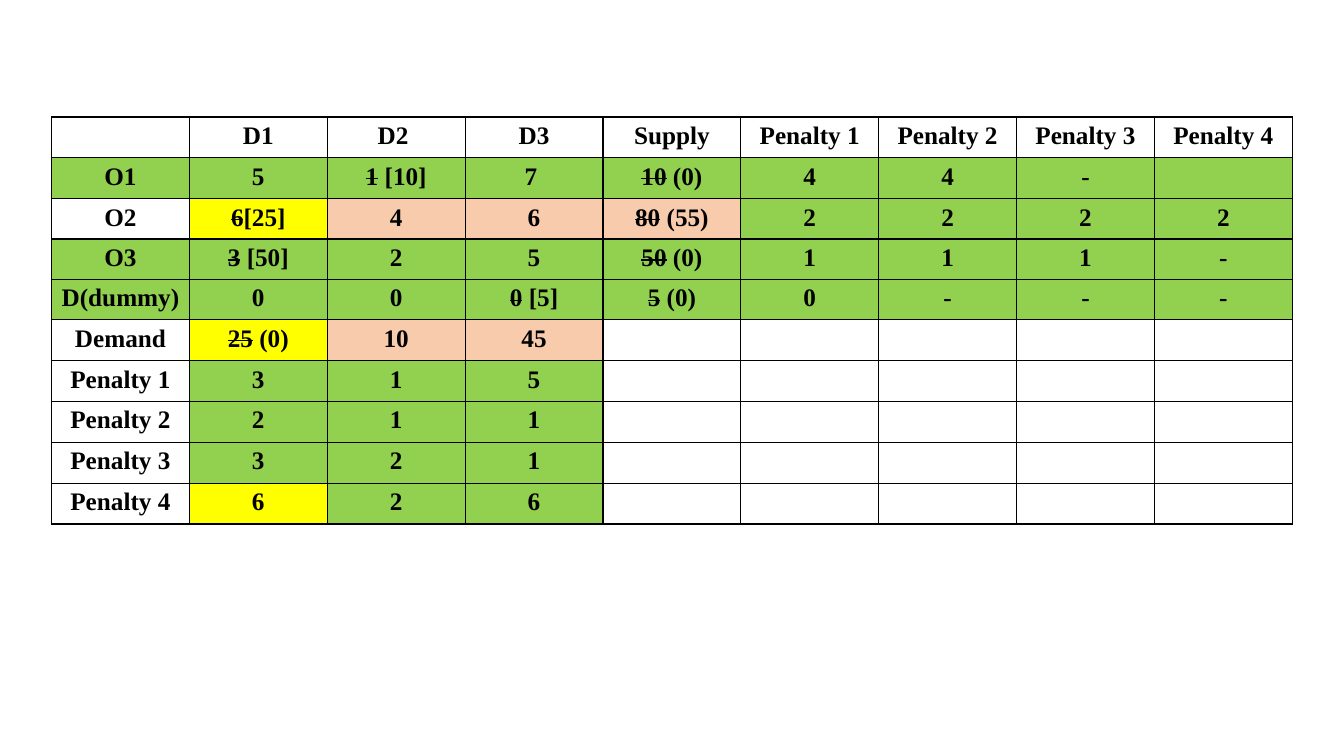
import pptx
import pptx.dml.color
import pptx.enum.text
import pptx.util
from lxml import etree
from pptx.oxml.ns import qn

Pt = pptx.util.Pt

COLORS = {"text": "000000", "border": "000000", "allocated": "92D050",
          "chosen": "FFFF00", "remaining": "F8CBAD"}

# Values between tildes are struck through.
COSTS = [
    ["", "D1", "D2 ", "D3", "Supply", "Penalty 1", "Penalty 2", "Penalty 3", "Penalty 4"],
    ["O1", "5", "~1~ [10]", "7 ", "~10~ (0)", "4", "4", "-", ""],
    ["O2", "~6~[25]", "4", "6", "~80~ (55)", "2", "2", "2", "2"],
    ["O3", "~3~ [50]", "2", "5", "~50~ (0)", "1", "1", "1", "-"],
    ["D(dummy)", "0", "0", "~0~ [5]", "~5~ (0)", "0", "-", "-", "-"],
    ["Demand", "~25~ (0)", "10", "45", "", "", "", "", ""],
    ["Penalty 1", "3", "1", "5", "", "", "", "", ""],
    ["Penalty 2", "2", "1", "1", "", "", "", "", ""],
    ["Penalty 3", "3", "2", "1", "", "", "", "", ""],
    ["Penalty 4", "6", "2", "6", "", "", "", "", ""],
]

# One letter for each cell: the key into FILLS, or a dot for no fill.
FILLS = {"g": "allocated", "y": "chosen", "r": "remaining"}
MARKS = [
    ".........",
    "ggggggggg",
    ".yrrrgggg",
    "ggggggggg",
    "ggggggggg",
    ".yrr.....",
    ".ggg.....",
    ".ggg.....",
    ".ggg.....",
    ".ygg.....",
]

LEFT, TOP = 36.8, 83.5
COLUMN_WIDTH, ROW_HEIGHT = 98.5, 28.8


def rgb(name):
    return pptx.dml.color.RGBColor.from_string(COLORS[name])


def write_text(frame, text, font="Times New Roman", size=18, bold=True, color="text"):
    """Write centred text, striking through what stands between tildes."""
    paragraph = frame.paragraphs[0]
    paragraph.alignment = pptx.enum.text.PP_ALIGN.CENTER
    for index, part in enumerate(text.split("~")):
        if not part:
            continue
        run = paragraph.add_run()
        run.text = part
        run.font.name = font
        run.font.size = Pt(size)
        run.font.bold = bold
        run.font.color.rgb = rgb(color)
        if index % 2:
            run.font._element.set("strike", "sngStrike")


def set_borders(cell, width=1, color="border"):
    properties = cell._tc.get_or_add_tcPr()
    for position, side in enumerate(("a:lnL", "a:lnR", "a:lnT", "a:lnB")):
        line = etree.Element(qn(side), w=str(Pt(width)))
        fill = etree.SubElement(line, qn("a:solidFill"))
        etree.SubElement(fill, qn("a:srgbClr"), val=COLORS[color])
        properties.insert(position, line)


def format_cell(cell, text, mark):
    cell.margin_left = cell.margin_right = Pt(5.4)
    if mark in FILLS:
        cell.fill.solid()
        cell.fill.fore_color.rgb = rgb(FILLS[mark])
    else:
        cell.fill.background()
    set_borders(cell)
    write_text(cell.text_frame, text)


def add_cost_table(slide):
    row_count, column_count = len(COSTS), len(COSTS[0])
    table = slide.shapes.add_table(
        row_count, column_count, Pt(LEFT), Pt(TOP),
        Pt(COLUMN_WIDTH * column_count), Pt(ROW_HEIGHT * row_count)).table
    table.first_row = table.horz_banding = False
    for column in table.columns:
        column.width = Pt(COLUMN_WIDTH)
    for row, texts, marks in zip(table.rows, COSTS, MARKS):
        row.height = Pt(ROW_HEIGHT)
        for cell, text, mark in zip(row.cells, texts, marks):
            format_cell(cell, text, mark)


def main():
    presentation = pptx.Presentation()
    presentation.slide_width = Pt(960)
    presentation.slide_height = Pt(540)
    slide = presentation.slides.add_slide(presentation.slide_layouts[6])
    add_cost_table(slide)
    presentation.save("out.pptx")


if __name__ == "__main__":
    main()
